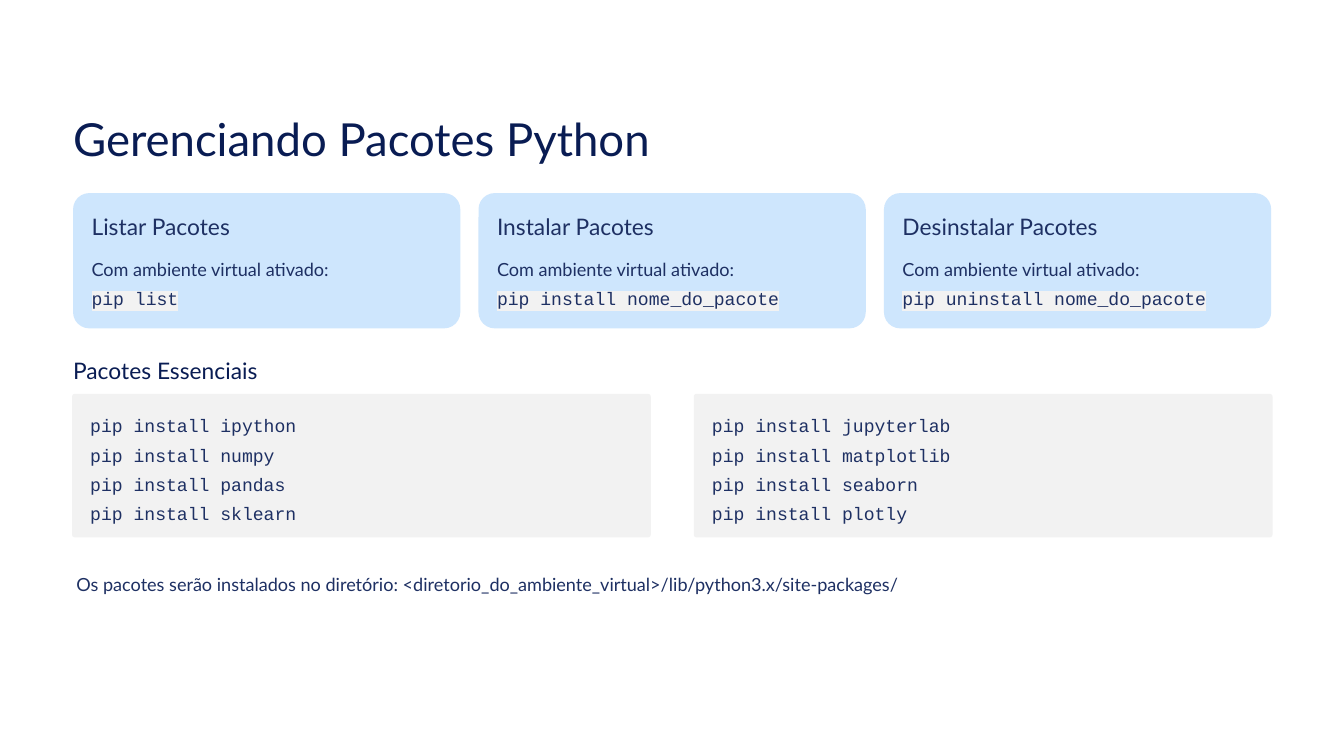
from lxml import etree
from pptx import Presentation, util as u
from pptx.dml.color import RGBColor
from pptx.enum import shapes, text
from pptx.oxml.ns import qn

Cm, Pt = u.Cm, u.Pt
COLORS = {"white": "FFFFFF", "title": "091C53", "body": "1E3063",
          "card": "CEE6FD", "code": "F2F2F2"}
FORMATS = {
    "title": {"size": Pt(39), "name": "Lato"},
    "heading": {"size": Pt(19.5), "name": "Lato"},
    "body": {"size": Pt(15.5), "name": "Lato"},
    "code": {"size": Pt(15.5), "name": "Courier New"},
}
SPACING = {"title": 48.5, "heading": 24, "body": 25, "code": 25}


def write(sp, lines, color="body"):
    """Fill a text shape with (style, text) lines."""
    tf = sp.text_frame
    frame = {"word_wrap": True, "auto_size": text.MSO_AUTO_SIZE.NONE,
             "vertical_anchor": text.MSO_ANCHOR.TOP, "margin_left": 0,
             "margin_top": 0, "margin_right": 0, "margin_bottom": 0}
    for key, value in frame.items():
        setattr(tf, key, value)
    for i, (style, words) in enumerate(lines):
        p = tf.add_paragraph() if i else tf.paragraphs[0]
        p.alignment = text.PP_ALIGN.LEFT
        p.line_spacing = Pt(SPACING[style])
        r = p.add_run()
        r.text = words
        for key, value in FORMATS[style].items():
            setattr(r.font, key, value)
        r.font.color.rgb = RGBColor.from_string(COLORS[color])
        if style == "code":
            hl = etree.Element(qn("a:highlight"))
            etree.SubElement(hl, qn("a:srgbClr"), val=COLORS["code"])
            r.font._element.find(qn("a:latin")).addprevious(hl)


def add_panel(x, y, w, h, color, radius):
    """Draw a borderless rounded panel."""
    sp = s.shapes.add_shape(shapes.MSO_SHAPE.ROUNDED_RECTANGLE,
                            Cm(x), Cm(y), Cm(w), Cm(h))
    sp.adjustments[0] = radius
    sp.shadow.inherit = False
    sp.fill.solid()
    sp.fill.fore_color.rgb = RGBColor.from_string(COLORS[color])
    sp.line.fill.background()


prs = Presentation()
prs.slide_width, prs.slide_height = Cm(40.64), Cm(22.86)
s = prs.slides.add_slide(prs.slide_layouts[5])
s.background.fill.solid()
s.background.fill.fore_color.rgb = RGBColor.from_string(COLORS["white"])

# Title
title = s.shapes.title
title.left, title.top, title.width, title.height = Cm(2.21), Cm(3.3), Cm(18.85), Cm(1.73)
write(title, [("title", "Gerenciando Pacotes Python")], "title")

# Command cards
cards = [("Listar Pacotes", "pip list"),
         ("Instalar Pacotes", "pip install nome_do_pacote"),
         ("Desinstalar Pacotes", "pip uninstall nome_do_pacote")]
for i, (heading, command) in enumerate(cards):
    x = 2.21 + i * 12.26
    add_panel(x, 5.84, 11.71, 4.09, "card", 0.12)
    sp = s.shapes.add_textbox(Cm(x + 0.56), Cm(6.4), Cm(6.88), Cm(0.86))
    write(sp, [("heading", heading)])
    sp = s.shapes.add_textbox(Cm(x + 0.56), Cm(7.59), Cm(10.62), Cm(1.8))
    write(sp, [("body", "Com ambiente virtual ativado:"), ("code", command)])

# Essential packages
sp = s.shapes.add_textbox(Cm(2.21), Cm(10.77), Cm(6.88), Cm(0.86))
write(sp, [("heading", "Pacotes Essenciais")], "title")

packages = [["ipython", "numpy", "pandas", "sklearn"],
            ["jupyterlab", "matplotlib", "seaborn", "plotly"]]
for i, names in enumerate(packages):
    x = 2.18 + i * 18.8
    add_panel(x, 11.91, 17.5, 4.34, "code", 0.02)
    sp = s.shapes.add_textbox(Cm(x + 0.55), Cm(12.32), Cm(16.38), Cm(3.53))
    write(sp, [("code", f"pip install {name}") for name in names])

# Install directory
sp = s.shapes.add_textbox(Cm(2.31), Cm(17.12), Cm(36.22), Cm(0.89))
write(sp, [("body", "Os pacotes serão instalados no diretório: "
                    "<diretorio_do_ambiente_virtual>/lib/python3.x/site-packages/")])

prs.save("out.pptx")
